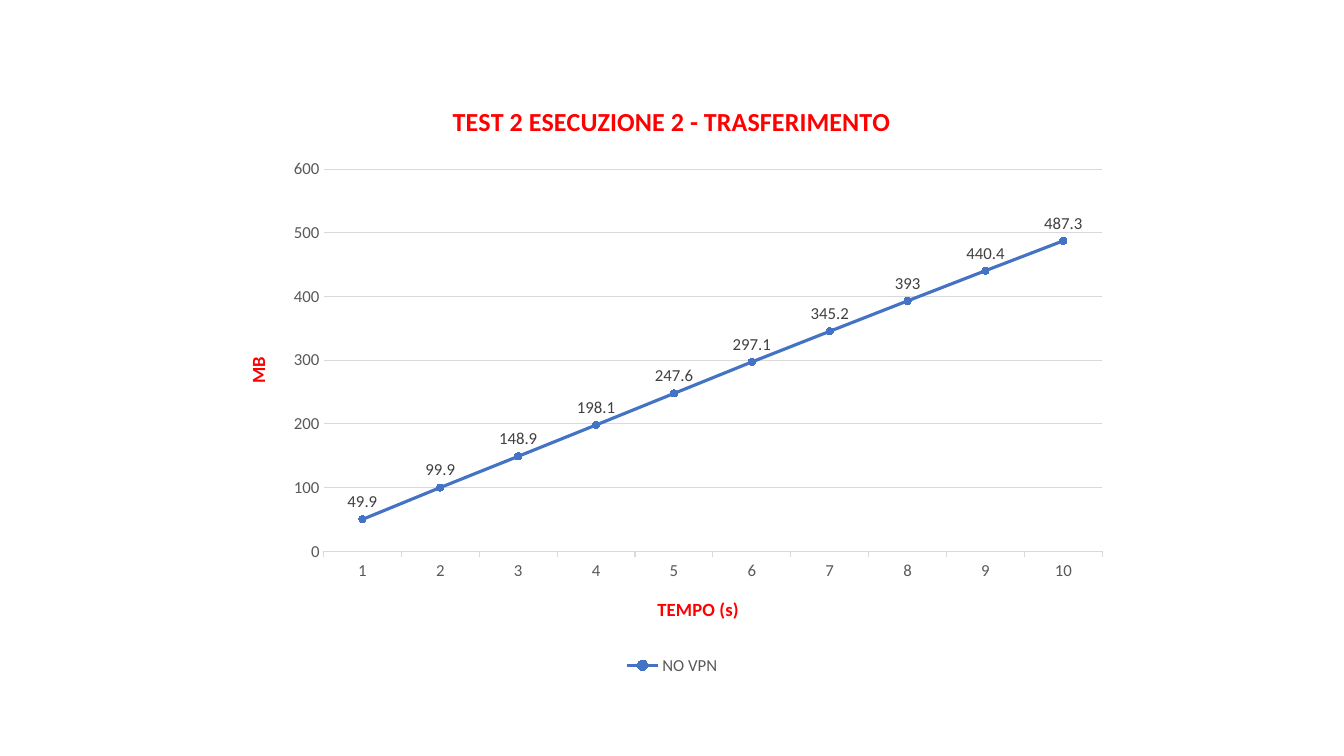
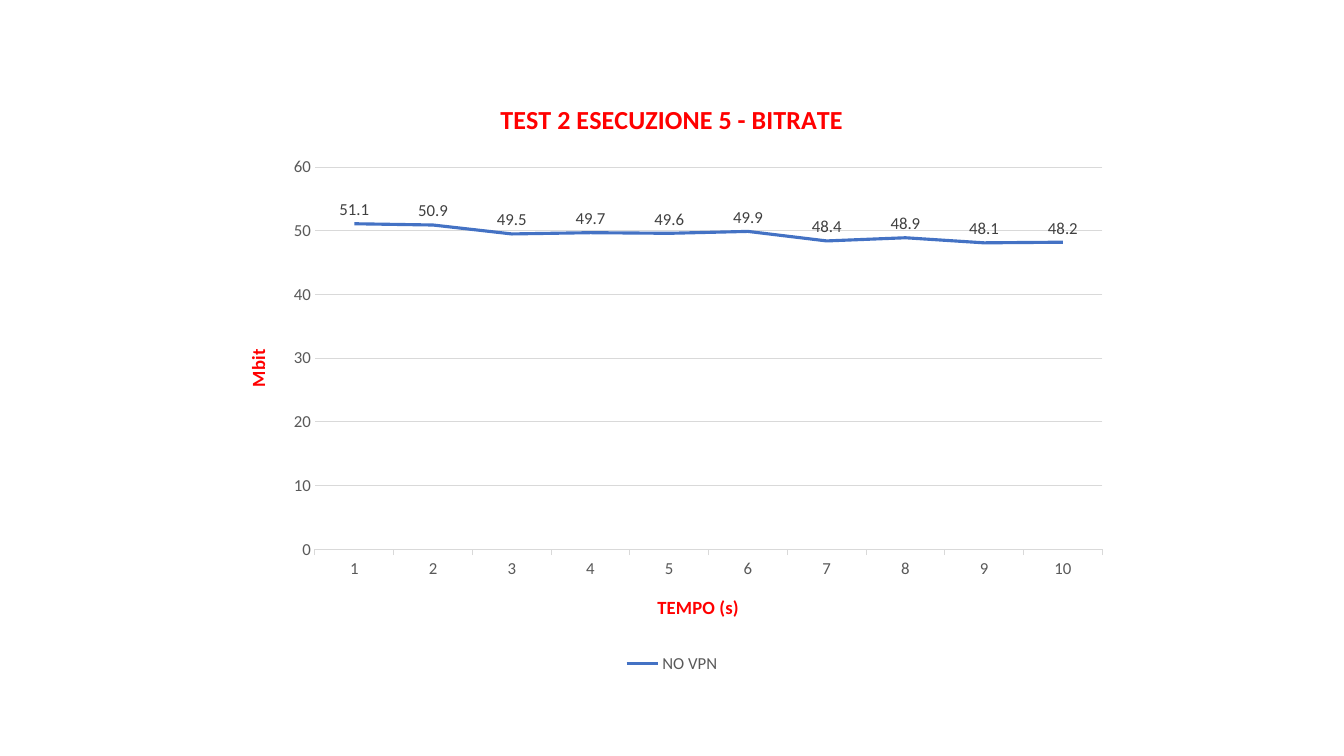
from dataclasses import dataclass

from pptx import Presentation
from pptx.chart.data import CategoryChartData
from pptx.dml.color import RGBColor
from pptx.enum.chart import (XL_CHART_TYPE, XL_LABEL_POSITION, XL_LEGEND_POSITION,
                             XL_MARKER_STYLE, XL_TICK_MARK)
from pptx.util import Inches, Pt

PLAIN, MARKED = XL_CHART_TYPE.LINE, XL_CHART_TYPE.LINE_MARKERS
ABOVE, BOTTOM = XL_LABEL_POSITION.ABOVE, XL_LEGEND_POSITION.BOTTOM
CIRCLE = XL_MARKER_STYLE.CIRCLE
OUTSIDE, NO_TICK = XL_TICK_MARK.OUTSIDE, XL_TICK_MARK.NONE


@dataclass(frozen=True)
class Theme:
    font: str = "Calibri"
    heading: str = "FF0000"
    series: str = "4472C4"
    text: str = "595959"
    label: str = "404040"
    grid: str = "D9D9D9"
    title_size: float = 18.6
    axis_size: float = 13.3
    body_size: float = 12
    series_width: float = 2.25
    grid_width: float = 0.75
    marker_size: int = 5


THEME = Theme()
SLIDE_W, SLIDE_H = 13.33, 7.5
CHART_W, CHART_H = 8.89, 5.93
SECONDS = [str(n) for n in range(1, 11)]
SERIES_NAME = "NO VPN"
TIME_TITLE = "TEMPO (s)"

CHARTS = [
    dict(title="TEST 2 ESECUZIONE 2 - TRASFERIMENTO", unit="MB", kind=MARKED,
         top=0.81, maximum=600,
         values=[49.9, 99.9, 148.9, 198.1, 247.6, 297.1, 345.2, 393, 440.4, 487.3]),
    dict(title="TEST 2 ESECUZIONE 5 - BITRATE", unit="Mbit", kind=PLAIN,
         top=0.79, maximum=60,
         values=[51.1, 50.9, 49.5, 49.7, 49.6, 49.9, 48.4, 48.9, 48.1, 48.2]),
]


def rgb(value):
    return RGBColor.from_string(value)


def style_font(font, size, color, bold=False):
    font.name = THEME.font
    font.size = Pt(size)
    font.bold = bold
    font.color.rgb = rgb(color)


def style_line(line, color, width):
    line.color.rgb = rgb(color)
    line.width = Pt(width)


def set_heading(heading, text, size):
    tf = heading.text_frame
    tf.text = text
    style_font(tf.paragraphs[0].runs[0].font, size, THEME.heading, True)


def style_axes(chart, unit, maximum):
    cat, val = chart.category_axis, chart.value_axis
    for axis, title, tick in ((cat, TIME_TITLE, OUTSIDE), (val, unit, NO_TICK)):
        set_heading(axis.axis_title, title, THEME.axis_size)
        style_font(axis.tick_labels.font, THEME.body_size, THEME.text)
        axis.major_tick_mark = tick
        axis.minor_tick_mark = NO_TICK
    style_line(cat.format.line, THEME.grid, THEME.grid_width)
    val.format.line.fill.background()
    val.minimum_scale, val.maximum_scale = 0, maximum
    val.major_unit = maximum / 6
    style_line(val.major_gridlines.format.line, THEME.grid, THEME.grid_width)
    body = val.axis_title.text_frame._txBody.bodyPr
    body.set("rot", "-5400000")
    body.set("vert", "horz")


def style_series(series, marked):
    series.smooth = False
    style_line(series.format.line, THEME.series, THEME.series_width)
    if marked:
        marker = series.marker
        marker.style, marker.size = CIRCLE, THEME.marker_size
        marker.format.fill.solid()
        marker.format.fill.fore_color.rgb = rgb(THEME.series)
        marker.format.line.color.rgb = rgb(THEME.series)
    labels = series.data_labels
    labels.show_value = True
    labels.position = ABOVE
    style_font(labels.font, THEME.body_size, THEME.label)


def add_line_chart(s, title, unit, kind, top, maximum, values):
    data = CategoryChartData()
    data.categories = SECONDS
    data.add_series(SERIES_NAME, values)
    left = (SLIDE_W - CHART_W) / 2
    box = [Inches(n) for n in (left, top, CHART_W, CHART_H)]
    chart = s.shapes.add_chart(kind, *box, data).chart
    chart.font.name = THEME.font
    set_heading(chart.chart_title, title, THEME.title_size)
    chart.has_legend = True
    chart.legend.position = BOTTOM
    chart.legend.include_in_layout = False
    style_font(chart.legend.font, THEME.body_size, THEME.text)
    chart.plots[0].vary_by_categories = False
    style_axes(chart, unit, maximum)
    style_series(chart.plots[0].series[0], kind == MARKED)


def main():
    prs = Presentation()
    prs.slide_width, prs.slide_height = Inches(SLIDE_W), Inches(SLIDE_H)
    blank = prs.slide_layouts[6]
    for content in CHARTS:
        add_line_chart(prs.slides.add_slide(blank), **content)
    prs.save("out.pptx")


if __name__ == "__main__":
    main()
